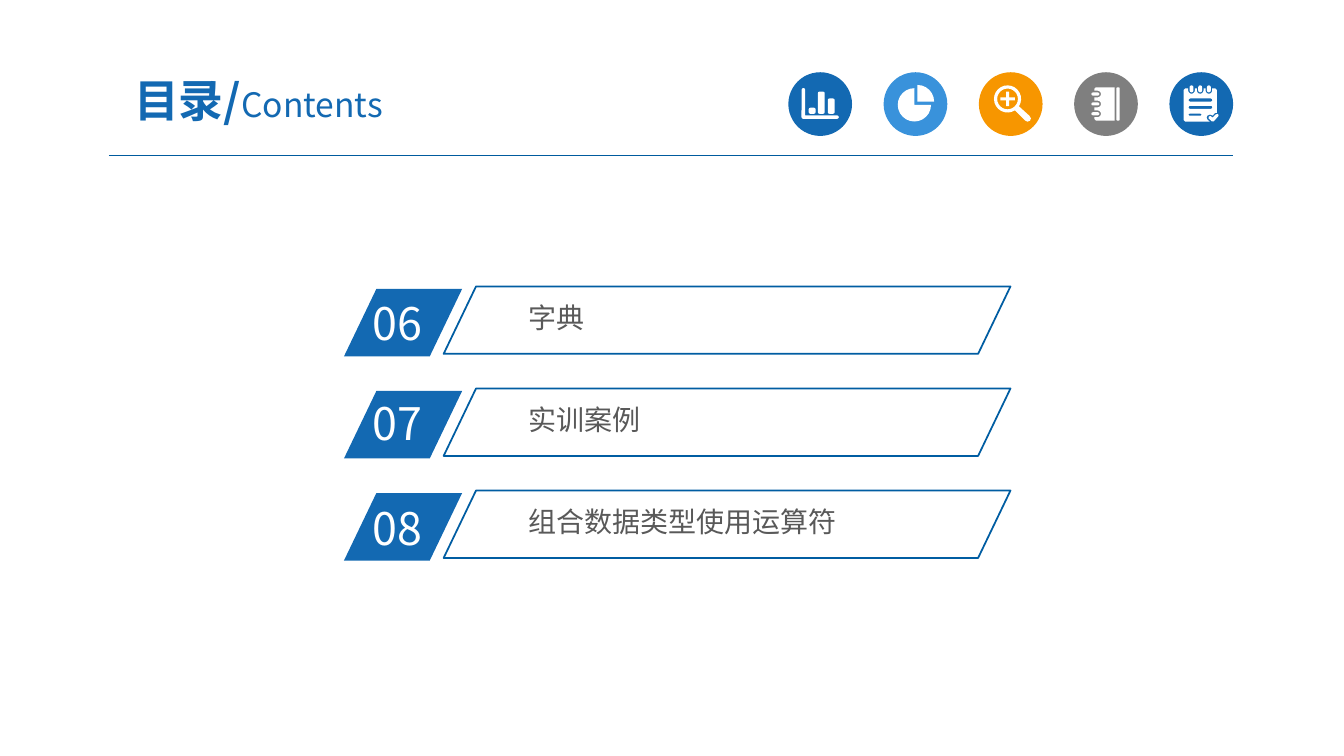
"""Build the contents slide with its header icons and three numbered entries."""
from math import cos, radians, sin

from lxml.etree import SubElement
from pptx import Presentation
from pptx.dml.color import RGBColor
from pptx.enum.shapes import MSO_CONNECTOR, MSO_SHAPE as Kind
from pptx.enum.text import MSO_ANCHOR, PP_ALIGN
from pptx.oxml.ns import qn
from pptx.util import Pt

BLUE = RGBColor(0x13, 0x69, 0xB2)
SKY = RGBColor(0x39, 0x92, 0xDB)
ORANGE = RGBColor(0xF7, 0x96, 0x00)
GRAY = RGBColor(0x7F, 0x7F, 0x7F)
EDGE = RGBColor(0x00, 0x5D, 0xA2)
RULE = RGBColor(0x00, 0x5B, 0x9E)
INK = RGBColor(0x59, 0x59, 0x59)
WHITE = RGBColor(0xFF, 0xFF, 0xFF)
FACE = "Noto Sans CJK SC"

TITLE = [("目录/", 32, True), ("Contents", 24, False)]
ROWS = [("06", "字典", 207.4), ("07", "实训案例", 279),
        ("08", "组合数据类型使用运算符", 354.2)]


def arc(x, y, size, start, end, steps):
    turns = [radians(start + (end - start) * i / steps) for i in range(steps + 1)]
    return [(x + size * cos(t), y + size * sin(t)) for t in turns]


def bar(x, y, wide, high, curve=1.1):
    right, low = x + wide - curve, y + high - curve
    x, y = x + curve, y + curve
    return (arc(x, y, curve, 180, 270, 2) + arc(right, y, curve, 270, 360, 2)
            + arc(right, low, curve, 0, 90, 2) + arc(x, low, curve, 90, 180, 2))


CHART = [arc(10.8, 12.6, 1.3, 180, 360, 4) + [(12.1, 30.9)]
         + arc(34.9, 32.1, 1.2, 270, 450, 4) + arc(10.6, 32.1, 1.2, 90, 180, 2),
         bar(14.6, 25.4, 4.9, 4.3), bar(21.1, 13.9, 4.9, 15.8),
         bar(28.2, 18.8, 4.9, 10.9)]
PIE = [[(22, 23.3)] + arc(22, 23.3, 11.9, 0, 270, 18),
       [(24.2, 21)] + arc(24.2, 21, 11.9, 270, 360, 6)]
LENS = [arc(20.5, 19.1, 9.7, 57, 393, 22)
        + [(36.2, 31.2), (37.2, 33), (36.6, 34.6), (34.8, 35.3), (33.2, 34.6)],
        arc(20.5, 19.1, 7.4, 0, 345, 23),
        [(19.4, 13.9), (21.6, 13.9), (21.6, 18), (25.7, 18), (25.7, 20.2),
         (21.6, 20.2), (21.6, 24.3), (19.4, 24.3), (19.4, 20.2), (15.3, 20.2),
         (15.3, 18), (19.4, 18)]]
PAGE = [(15.6, 10.8), (29, 10.8), (29, 34.6), (15.6, 34.6), (14.4, 33.4)]
for y in (29.7, 22.7, 15.6):
    PAGE += [(14.4, y + 2.4)] + arc(16.8, y, 2.4, 90, -90, 6) + [(14.4, y - 2.4)]
BOOK = [PAGE + [(14.4, 12)], bar(30.2, 10.8, 2.4, 23.8, 0.8)]
BOOK += [bar(12.3, y - 1.1, 5.8, 2.2) for y in (15.6, 22.7, 29.7)]
PAD = [(10.1, 12.7), (11.3, 11.5)]
for x in (15.8, 22, 28.2):
    PAD += [(x - 2.4, 11.5)] + arc(x, 13, 2.4, 180, 0, 6) + [(x + 2.4, 11.5)]
PAD += [(32.7, 11.5), (33.9, 12.7), (33.9, 29), (32.5, 29.2), (31, 31),
        (29, 30.2), (27.1, 31), (26.6, 32.5), (27.2, 33.8), (28.8, 35.3),
        (11.3, 35.3), (10.1, 34.1)]
TICK = [(34.8, 31.6), (31.7, 35.1), (30.3, 35.1), (28.1, 33.1), (28.1, 31.8),
        (29.2, 31.2), (31, 32.4), (33, 30.2), (34.4, 29.8), (35.2, 30.6)]
NOTE = [PAD, TICK, bar(13.7, 18.8, 17, 2.2), bar(13.7, 24, 17, 2.2),
        bar(13.7, 29.6, 9.2, 1.5, 0.7)]
NOTE += [bar(x - 1.4, 9.4, 2.8, 5, 1.3) for x in (15.8, 22, 28.2)]
ICONS = [(BLUE, CHART), (SKY, PIE), (ORANGE, LENS), (GRAY, BOOK), (BLUE, NOTE)]


def paint(shape, fill):
    shape.shadow.inherit = False
    if fill is None:
        shape.fill.background()
        shape.line.color.rgb = EDGE
        shape.line.width = Pt(1.25)
    else:
        shape.fill.solid()
        shape.fill.fore_color.rgb = fill
        shape.line.fill.background()


def draw(home, kind, x, y, wide, high, fill=None):
    shape = home.add_shape(kind, Pt(x), Pt(y), Pt(wide), Pt(high))
    if kind == Kind.PARALLELOGRAM:
        shape.adjustments[0] = 0.48
    paint(shape, fill)


def trace(home, loops, left, top):
    pen = home.build_freeform(scale=Pt(1) / 100)
    first = True
    for loop in loops:
        spots = [(100 * x, 100 * y) for x, y in loop]
        if first:
            pen = home.build_freeform(*spots[0], scale=Pt(1) / 100)
            first = False
        else:
            pen.move_to(*spots[0])
        pen.add_line_segments(spots[1:], close=True)
    paint(pen.convert_to_shape(Pt(left), Pt(top)), WHITE)


def style(font, size, color, bold=False):
    font.size, font.bold = Pt(size), bold
    font.color.rgb = color
    font.name = FACE
    east = SubElement(font._element, qn("a:ea"))
    east.set("typeface", FACE)


def pad(frame, side, edge):
    frame.margin_left = frame.margin_right = Pt(side)
    frame.margin_top = frame.margin_bottom = Pt(edge)


def label(home, text, x, y, wide, high, size, color, side, edge):
    frame = home.add_textbox(Pt(x), Pt(y), Pt(wide), Pt(high)).text_frame
    frame.word_wrap = True
    pad(frame, side, edge)
    para = frame.paragraphs[0]
    para.text = text
    style(para.font, size, color)


def head(slide):
    title = slide.shapes.title
    title.left, title.top = Pt(66.2), Pt(45.4)
    title.width, title.height = Pt(236.9), Pt(51.8)
    frame = title.text_frame
    frame.vertical_anchor = MSO_ANCHOR.MIDDLE
    pad(frame, 9.4, 5)
    para = frame.paragraphs[0]
    para.alignment = PP_ALIGN.CENTER
    para.space_before = Pt(0)
    for text, size, bold in TITLE:
        run = para.add_run()
        run.text = text
        style(run.font, size, BLUE, bold)
    rule = slide.shapes.add_connector(
        MSO_CONNECTOR.STRAIGHT, Pt(77.8), Pt(111.3), Pt(880.6), Pt(111.3))
    rule.line.color.rgb = RULE
    rule.line.width = Pt(0.75)
    SubElement(rule._element.spPr, qn("a:effectLst"))


def icons(slide):
    top = 51.6
    for i, (color, loops) in enumerate(ICONS):
        left = 563.1 + 68.05 * i
        home = slide.shapes.add_group_shape().shapes
        draw(home, Kind.OVAL, left, top, 45.5, 45.5, color)
        trace(home, loops, left, top)


def rows(slide):
    for i, (number, text, top) in enumerate(ROWS):
        y = 204.6 + 72.9 * i
        tag = slide.shapes.add_group_shape().shapes
        draw(tag, Kind.PARALLELOGRAM, 245.7, y + 1.8, 84.4, 48.2, BLUE)
        label(tag, number, 259.2, top, 80.6, 46, 32, WHITE, 7.2, 3.6)
        entry = slide.shapes.add_group_shape().shapes
        label(entry, text, 372.4, y + 7.2, 296.6, 29.5, 20, INK, 5, 2.9)
        draw(entry, Kind.PARALLELOGRAM, 316.9, y, 404.9, 48.2)


def main():
    deck = Presentation()
    deck.slide_width, deck.slide_height = Pt(960), Pt(540)
    slide = deck.slides.add_slide(deck.slide_layouts[5])
    head(slide)
    icons(slide)
    rows(slide)
    deck.save("out.pptx")


if __name__ == "__main__":
    main()
